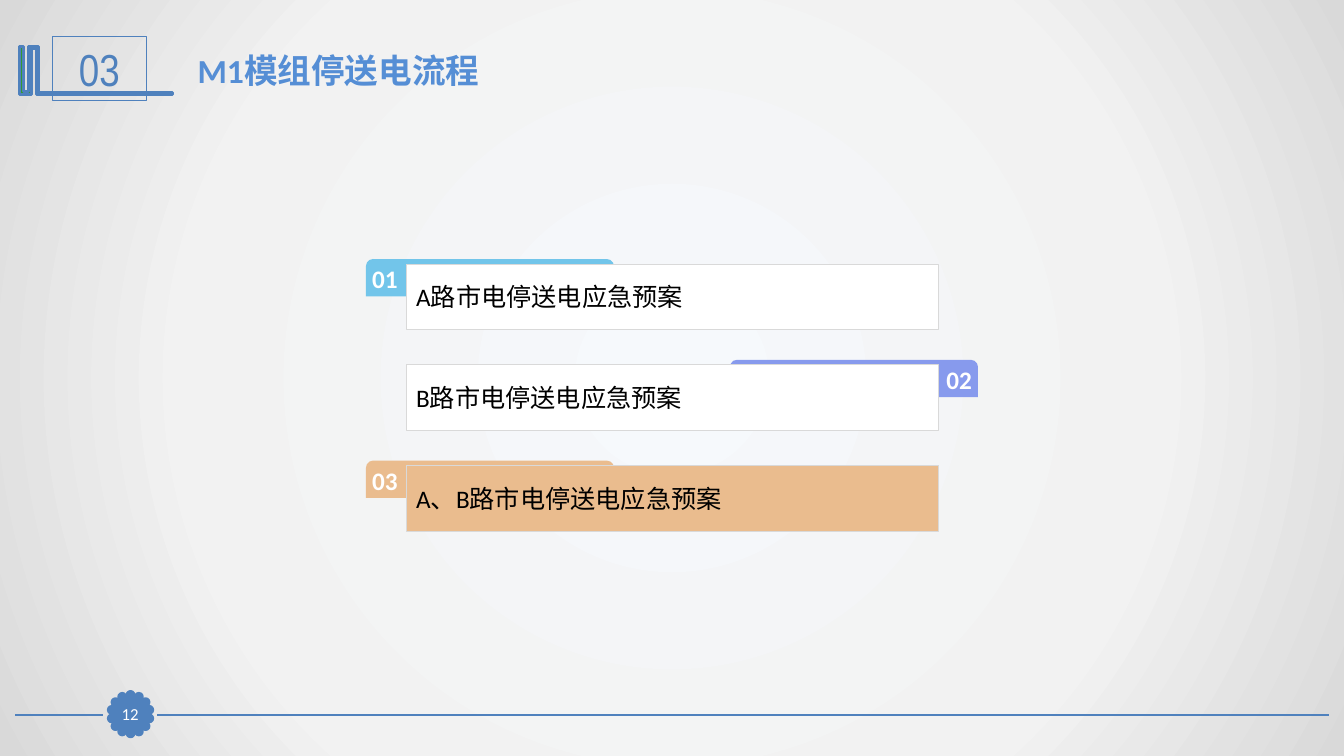
from math import cos, pi, sin

from pptx import Presentation
from pptx.dml.color import RGBColor
from pptx.enum.shapes import MSO_CONNECTOR, MSO_SHAPE as SHAPE
from pptx.enum.text import MSO_ANCHOR as ANCHOR, MSO_AUTO_SIZE as AUTO, PP_ALIGN as ALIGN
from pptx.oxml import parse_xml
from pptx.oxml.ns import nsdecls
from pptx.util import Emu, Pt

PX = 9144
COLORS = {
    "blue": "4F81BD", "title": "558ED5", "green": "339933", "sky": "72C5EA",
    "violet": "879AED", "peach": "EABC8E", "white": "FFFFFF", "black": "000000",
    "border": "D9D9D9",
}
BACKGROUND = [(0, "F6F9FC"), (63, "F2F2F2"), (100, "D9D9D9")]
BOOKMARK = [
    (37, 46), (38, 46), (38, 92), (171, 92), (171, 94), (36, 94), (36, 48), (31, 48),
    (31, 94), (19, 94), (19, 46), (23, 46), (23, 91), (28, 91), (28, 46),
]
PLANS = [
    ("01", "A路市电停送电应急预案", "sky", "white", False),
    ("02", "B路市电停送电应急预案", "violet", "white", True),
    ("03", "A、B路市电停送电应急预案", "peach", "peach", False),
]
PLAN_TOP, PLAN_STEP = 257, 100
INSETS = (10, 5, 10, 5)


def px(*values):
    return [Emu(round(v * PX)) for v in values]


def rgb(name):
    return RGBColor.from_string(COLORS[name])


def paint(sp, fill=None, line=None, width=0.75):
    sp.shadow.inherit = False
    if fill:
        sp.fill.solid()
        sp.fill.fore_color.rgb = rgb(fill)
    else:
        sp.fill.background()
    if line:
        sp.line.color.rgb = rgb(line)
        sp.line.width = Pt(width)
    else:
        sp.line.fill.background()


def add_shape(shapes, kind, box, fill=None, line=None, width=0.75):
    sp = shapes.add_shape(kind, *px(*box))
    paint(sp, fill, line, width)
    return sp


def write(sp, text, size, color, align, font="Calibri", bold=False,
          insets=INSETS, anchor=ANCHOR.MIDDLE):
    tf = sp.text_frame
    tf.word_wrap = True
    tf.vertical_anchor = anchor
    tf.margin_left, tf.margin_top, tf.margin_right, tf.margin_bottom = px(*insets)
    p = tf.paragraphs[0]
    p.text = text
    p.alignment = align
    p.font.name = font
    p.font.size = Pt(size)
    p.font.bold = bold
    p.font.color.rgb = rgb(color)


def set_background(s):
    s.background.fill.solid()
    stops = "".join(
        f'<a:gs pos="{pos * 1000}"><a:srgbClr val="{color}"/></a:gs>'
        for pos, color in BACKGROUND
    )
    grad = parse_xml(
        f'<a:gradFill {nsdecls("a")} rotWithShape="1"><a:gsLst>{stops}</a:gsLst>'
        '<a:path path="circle"><a:fillToRect l="50000" t="50000" r="50000" b="50000"/>'
        '</a:path></a:gradFill>'
    )
    bg = s.element.cSld.bg.bgPr
    bg.replace(bg[0], grad)


def add_rule(s, x1, x2, y):
    line = s.shapes.add_connector(MSO_CONNECTOR.STRAIGHT, *px(x1, y, x2, y))
    line.line.color.rgb = rgb("blue")
    line.line.width = Pt(1.25)
    line._element.spPr.append(parse_xml(f'<a:effectLst {nsdecls("a")}/>'))


def add_badge(s, number, cx=129.5, cy=708.5, radius=19, petals=14, size=7):
    group = s.shapes.add_group_shape()
    for i in range(petals):
        angle = 2 * pi * i / petals
        left = cx + radius * sin(angle) - size / 2
        top = cy - radius * cos(angle) - size / 2
        add_shape(group.shapes, SHAPE.OVAL, (left, top, size, size), "blue", "blue", 2)
    sp = add_shape(s.shapes, SHAPE.RECTANGLE, (113, 693, 32, 31), "blue", "blue")
    write(sp, number, 12, "white", ALIGN.CENTER, insets=(0, 0, 0, 0))


def add_section(s, number):
    builder = s.shapes.build_freeform(*BOOKMARK[0], scale=PX)
    builder.add_line_segments(BOOKMARK[1:], close=True)
    paint(builder.convert_to_shape(), "green", "blue", 2)
    sp = add_shape(s.shapes, SHAPE.RECTANGLE, (52, 36, 93, 64), line="blue")
    write(sp, number, 32, "blue", ALIGN.CENTER, font="Arial Narrow")


def add_title(s, text):
    sp = s.shapes.title
    sp.left, sp.top, sp.width, sp.height = px(186, 44, 969, 50)
    write(sp, text, 24, "title", ALIGN.LEFT, bold=True, anchor=ANCHOR.TOP)
    sp.text_frame.auto_size = AUTO.SHAPE_TO_FIT_TEXT


def add_plan(s, top, number, text, tab_color, box_color, on_right):
    group = s.shapes.add_group_shape()
    left = 724 if on_right else 363
    tab = add_shape(group.shapes, SHAPE.ROUND_2_SAME_RECTANGLE, (left, top, 246, 37), tab_color)
    tab.adjustments[0] = 0.19
    tab.adjustments[1] = 0
    write(tab, number, 18, "white", ALIGN.RIGHT if on_right else ALIGN.JUSTIFY,
          bold=True, insets=(10, 0, 4, 0) if on_right else (4, 0, 10, 0))
    box = add_shape(group.shapes, SHAPE.RECTANGLE, (403, top + 5, 528, 65), box_color, "border")
    write(box, text, 18, "black", ALIGN.JUSTIFY)


def main():
    prs = Presentation()
    prs.slide_width, prs.slide_height = px(1333, 750)
    s = prs.slides.add_slide(prs.slide_layouts[5])
    set_background(s)
    add_rule(s, 1318, 156, 709)
    add_rule(s, 102, 15, 709)
    add_badge(s, "12")
    add_section(s, "03")
    add_title(s, "M1模组停送电流程")
    for i, plan in enumerate(PLANS):
        add_plan(s, PLAN_TOP + i * PLAN_STEP, *plan)
    prs.save("out.pptx")


if __name__ == "__main__":
    main()
